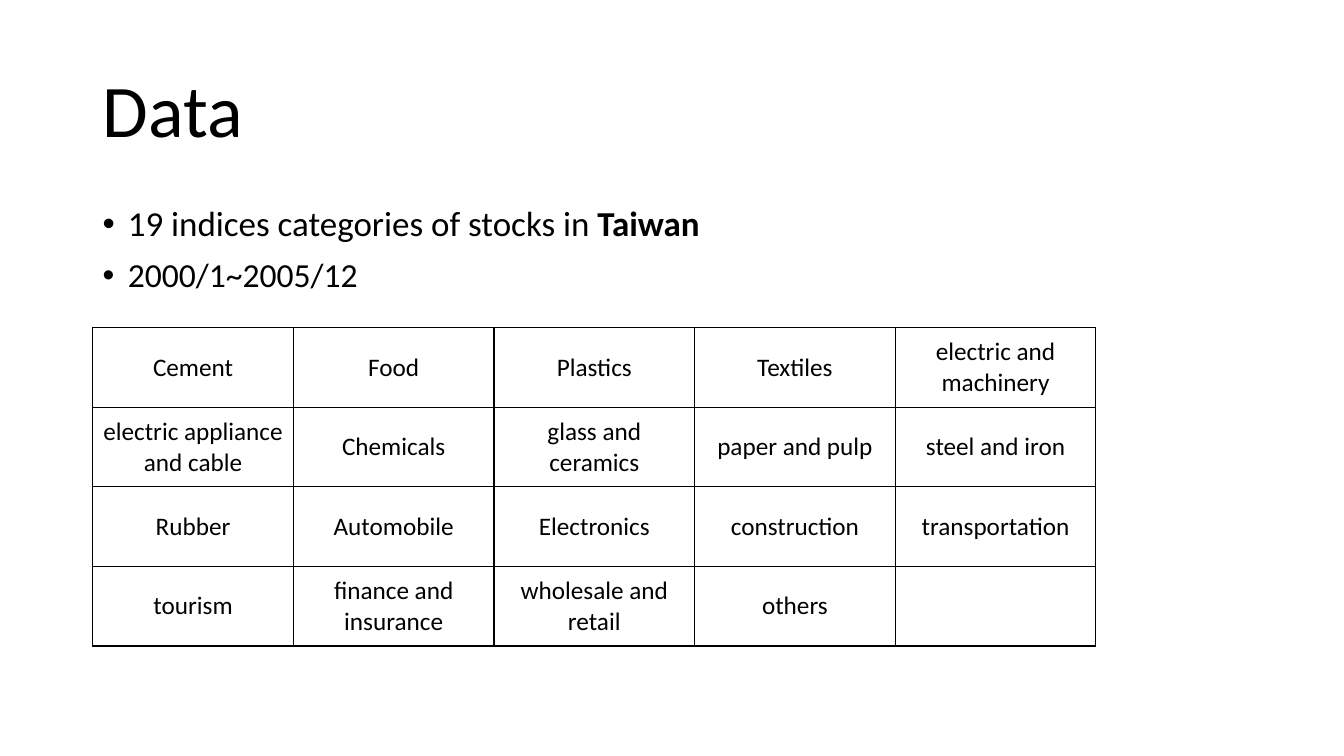
"""Build the Data slide: a title, two bullets and a table of stock categories."""
from dataclasses import dataclass

from lxml import etree
from pptx import Presentation
from pptx.dml.color import RGBColor
from pptx.enum import text
from pptx.oxml import ns
from pptx.util import Inches, Pt


@dataclass(frozen=True)
class Theme:
    font: str = "Calibri"
    ink: RGBColor = RGBColor(0, 0, 0)
    title_size: float = 53
    cell_size: float = 18
    line_spacing: float = 0.9
    bullet_gap: float = 10
    border: float = 1


@dataclass(frozen=True)
class Bullet:
    plain: str
    size: float
    strong: str = ""


@dataclass(frozen=True)
class Frame:
    left: float
    top: float
    width: float
    height: float

    def emu(self) -> list:
        return [Inches(n) for n in (self.left, self.top, self.width, self.height)]


THEME = Theme()
TITLE_FRAME = Frame(0.92, 0.4, 11.5, 1.45)
BULLET_FRAME = Frame(0.92, 2, 11.5, 1.1)
TABLE_FRAME = Frame(0.92, 3.25, 9.95, 3.16)
BULLETS = [
    Bullet("19 indices categories of stocks in ", 25, "Taiwan"),
    Bullet("2000/1~2005/12", 24),
]
CATEGORIES = [
    ["Cement", "Food", "Plastics", "Textiles", "electric and machinery"],
    ["electric appliance and cable", "Chemicals", "glass and ceramics",
     "paper and pulp", "steel and iron"],
    ["Rubber", "Automobile", "Electronics", "construction", "transportation"],
    ["tourism", "finance and insurance", "wholesale and retail", "others", ""],
]


def style_font(font, size: float, bold: bool = False) -> None:
    font.name = THEME.font
    font.size = Pt(size)
    font.bold = bold
    font.color.rgb = THEME.ink


def add_title(page, wording: str) -> None:
    title = page.shapes.title
    title.left, title.top, title.width, title.height = TITLE_FRAME.emu()
    title.text_frame.text = wording
    title.text_frame.vertical_anchor = text.MSO_ANCHOR.MIDDLE
    para = title.text_frame.paragraphs[0]
    para.alignment = text.PP_ALIGN.LEFT
    para.line_spacing = THEME.line_spacing
    style_font(para.runs[0].font, THEME.title_size)


def add_bullets(page, bullets: list[Bullet]) -> None:
    frame = page.shapes.add_textbox(*BULLET_FRAME.emu()).text_frame
    frame.word_wrap = True
    for index, bullet in enumerate(bullets):
        para = frame.add_paragraph() if index else frame.paragraphs[0]
        para.line_spacing = THEME.line_spacing
        para.space_before = Pt(THEME.bullet_gap if index else 0)
        properties = para._p.get_or_add_pPr()
        properties.set("marL", str(Inches(0.25)))
        properties.set("indent", str(Inches(-0.25)))
        etree.SubElement(properties, ns.qn("a:buFont"), typeface="Arial")
        etree.SubElement(properties, ns.qn("a:buChar"), char="•")
        for wording, bold in ((bullet.plain, False), (bullet.strong, True)):
            if wording:
                span = para.add_run()
                span.text = wording
                style_font(span.font, bullet.size, bold)


def add_borders(cell) -> None:
    properties = cell._tc.get_or_add_tcPr()
    for position, side in enumerate(("lnL", "lnR", "lnT", "lnB")):
        line = etree.Element(ns.qn(f"a:{side}"), w=str(Pt(THEME.border)))
        fill = etree.SubElement(line, ns.qn("a:solidFill"))
        etree.SubElement(fill, ns.qn("a:srgbClr"), val=str(THEME.ink))
        properties.insert(position, line)


def add_category_table(page, categories: list[list[str]]) -> None:
    rows, columns = len(categories), len(categories[0])
    table = page.shapes.add_table(rows, columns, *TABLE_FRAME.emu()).table
    table.first_row = table.horz_banding = False
    for row, names in enumerate(categories):
        for column, name in enumerate(names):
            cell = table.cell(row, column)
            cell.fill.background()
            cell.vertical_anchor = text.MSO_ANCHOR.MIDDLE
            cell.text_frame.text = name
            para = cell.text_frame.paragraphs[0]
            para.alignment = text.PP_ALIGN.CENTER
            style_font(para.font, THEME.cell_size)
            for span in para.runs:
                style_font(span.font, THEME.cell_size)
            add_borders(cell)


def main() -> None:
    deck = Presentation()
    deck.slide_width, deck.slide_height = Inches(13.33), Inches(7.5)
    page = deck.slides.add_slide(deck.slide_layouts[5])
    add_title(page, "Data")
    add_bullets(page, BULLETS)
    add_category_table(page, CATEGORIES)
    deck.save("out.pptx")


if __name__ == "__main__":
    main()
